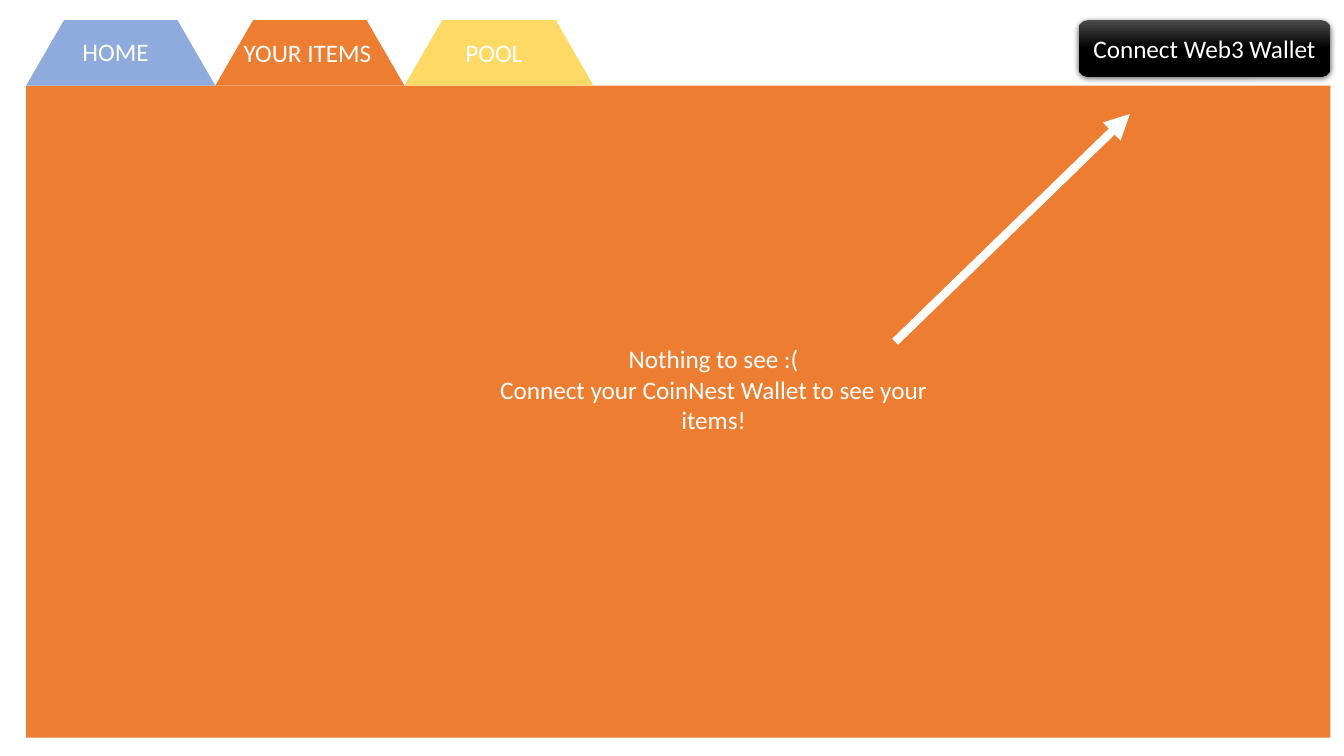
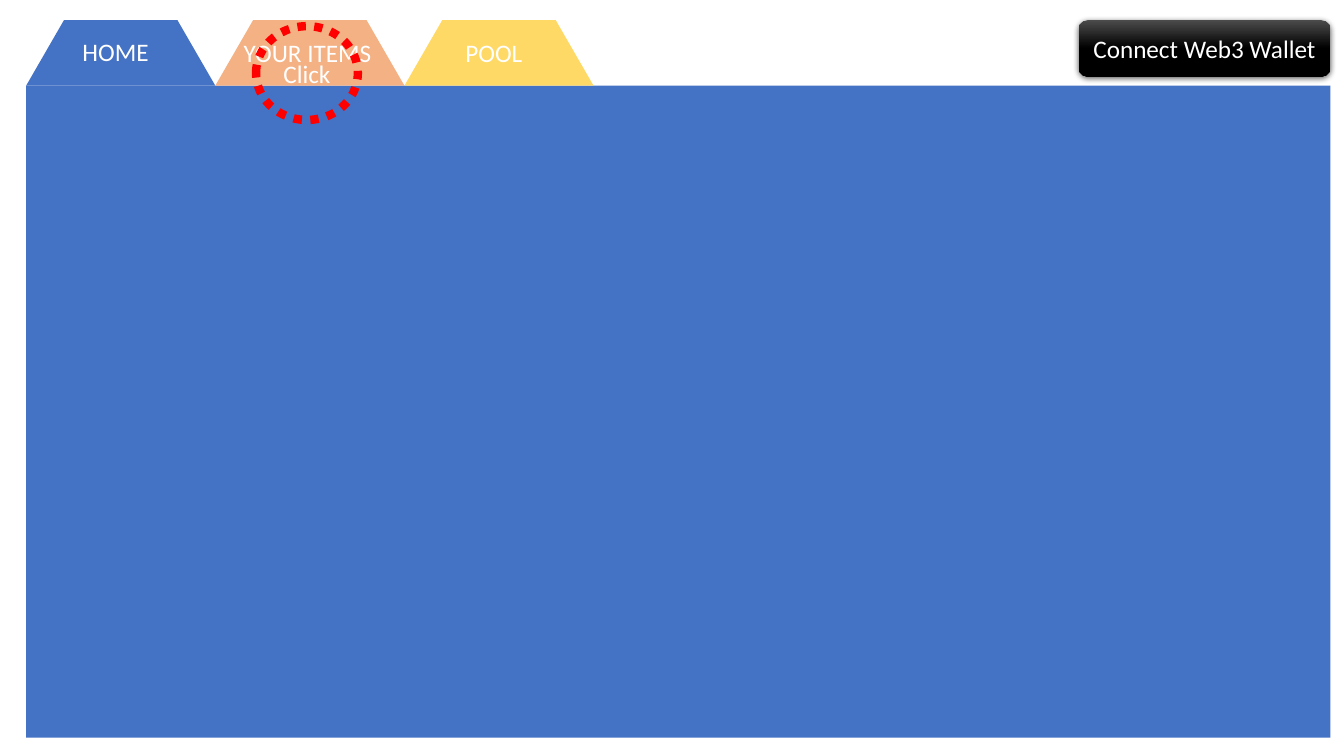
"""Build two wallet app mockup slides with tabs, a panel and a button."""
import copy
import dataclasses
import lxml.etree
import pptx
import pptx.dml.color
import pptx.enum.dml
import pptx.enum.shapes
import pptx.enum.text
import pptx.oxml.ns
import pptx.util

Pt = pptx.util.Pt
Rgb = pptx.dml.color.RGBColor.from_string
Kind = pptx.enum.shapes.MSO_SHAPE
Align = pptx.enum.text.PP_ALIGN
qn = pptx.oxml.ns.qn


@dataclasses.dataclass(frozen=True)
class Theme:
    font: str = "Calibri"
    size: int = 18
    thick: int = 6
    white: str = "FFFFFF"
    black: str = "000000"
    gray: str = "4B4B4B"
    red: str = "FF0000"
    blue: str = "4472C4"
    sky: str = "8FAADC"
    rust: str = "ED7D31"
    peach: str = "F4B183"
    gold: str = "FFD966"


LEFT, TOP, RIGHT = 18.7, 14.4, 950.4
TAB_W, TAB_H = 135.1, 46.8
PANEL_H = 465.8


class Deck:
    def __init__(self, theme):
        self.theme = theme
        self.show = pptx.Presentation()
        self.show.slide_width, self.show.slide_height = Pt(960), Pt(540)
        self.slide = None

    def page(self):
        self.slide = self.show.slides.add_slide(self.show.slide_layouts[6])

    def words(self, frame, lines, align):
        look = {"name": self.theme.font, "size": Pt(self.theme.size)}
        for num, line in enumerate(lines):
            para = frame.add_paragraph() if num else frame.paragraphs[0]
            para.text, para.alignment = line, align
            for key, value in look.items():
                setattr(para.font, key, value)
            para.font.color.rgb = Rgb(self.theme.white)

    def shape(self, kind, box, fill=None, text=None):
        item = self.slide.shapes.add_shape(kind, *map(Pt, box))
        item.shadow.inherit = False
        item.line.fill.background()
        if fill:
            item.fill.solid()
            item.fill.fore_color.rgb = Rgb(fill)
        else:
            item.fill.background()
        if text:
            item.text_frame.vertical_anchor = pptx.enum.text.MSO_ANCHOR.MIDDLE
            self.words(item.text_frame, [text], Align.CENTER)
        return item

    def label(self, box, lines, align=Align.LEFT):
        frame = self.slide.shapes.add_textbox(*map(Pt, box)).text_frame
        look = {
            "word_wrap": True,
            "auto_size": pptx.enum.text.MSO_AUTO_SIZE.SHAPE_TO_FIT_TEXT,
        }
        for key, value in look.items():
            setattr(frame, key, value)
        self.words(frame, lines, align)

    def tab(self, num, fill):
        box = (LEFT + num * TAB_W, TOP, TAB_W, TAB_H)
        item = self.shape(Kind.FLOWCHART_MANUAL_OPERATION, box, fill)
        item._element.spPr.xfrm.set("flipV", "1")

    def button(self, text):
        width = 180
        box = (RIGHT - width, TOP, width, 40.3)
        item = self.shape(Kind.ROUNDED_RECTANGLE, box, text=text)
        item.fill.gradient()
        item.fill.gradient_angle = 270
        props = item._element.spPr
        stops = props.find(".//" + qn("a:gsLst"))
        stops.append(copy.deepcopy(stops[-1]))
        tones = ((0, self.theme.gray), (0.5, self.theme.black), (1, self.theme.black))
        for stop, (place, tone) in zip(item.fill.gradient_stops, tones):
            stop.position, stop.color.rgb = place, Rgb(tone)
        cast = lxml.etree.SubElement(
            props.find(qn("a:effectLst")), qn("a:outerShdw"),
            blurRad=str(Pt(4.5)), dist=str(Pt(1.5)), dir="5400000",
            algn="ctr", rotWithShape="0")
        tone = lxml.etree.SubElement(cast, qn("a:srgbClr"), val=self.theme.black)
        lxml.etree.SubElement(tone, qn("a:alpha"), val="63000")

    def arrow(self, start, end):
        kind = pptx.enum.shapes.MSO_CONNECTOR.STRAIGHT
        item = self.slide.shapes.add_connector(kind, *map(Pt, start + end))
        item.line.width = Pt(self.theme.thick)
        item.line.color.rgb = Rgb(self.theme.white)
        props = item._element.spPr
        line = props.find(qn("a:ln"))
        lxml.etree.SubElement(line, qn("a:tailEnd"), type="triangle")
        lxml.etree.SubElement(props, qn("a:effectLst"))

    def ring(self, box, text):
        line = self.shape(Kind.OVAL, box, text=text).line
        line.color.rgb = Rgb(self.theme.red)
        look = {
            "width": Pt(self.theme.thick),
            "dash_style": pptx.enum.dml.MSO_LINE.ROUND_DOT,
        }
        for key, value in look.items():
            setattr(line, key, value)

    def frame(self, panel, tabs):
        self.page()
        box = (LEFT, TOP + TAB_H, RIGHT - LEFT, PANEL_H)
        self.shape(Kind.RECTANGLE, box, panel)
        for num, fill in enumerate(tabs):
            self.tab(num, fill)
        self.button("Connect Web3 Wallet")
        names = (("POOL", 325.4, 23, 98.6), ("YOUR ITEMS", 167, 23, 128.9),
                 ("HOME", 51.8, 22.3, 128.9))
        for name, left, top, width in names:
            self.label((left, top, width, 29), [name])


def main():
    theme = Theme()
    deck = Deck(theme)

    deck.frame(theme.rust, (theme.sky, theme.rust, theme.gold))
    deck.arrow((639.4, 244.1), (807.1, 81.4))
    deck.label((334.8, 241.9, 349.9, 72.7), [
        "Nothing to see :(",
        "Connect your CoinNest Wallet to see your items!",
    ], Align.CENTER)

    deck.frame(theme.blue, (theme.blue, theme.peach, theme.gold))
    deck.ring((182.9, 18.7, 72.7, 67), "Click")

    deck.show.save("out.pptx")


if __name__ == "__main__":
    main()
